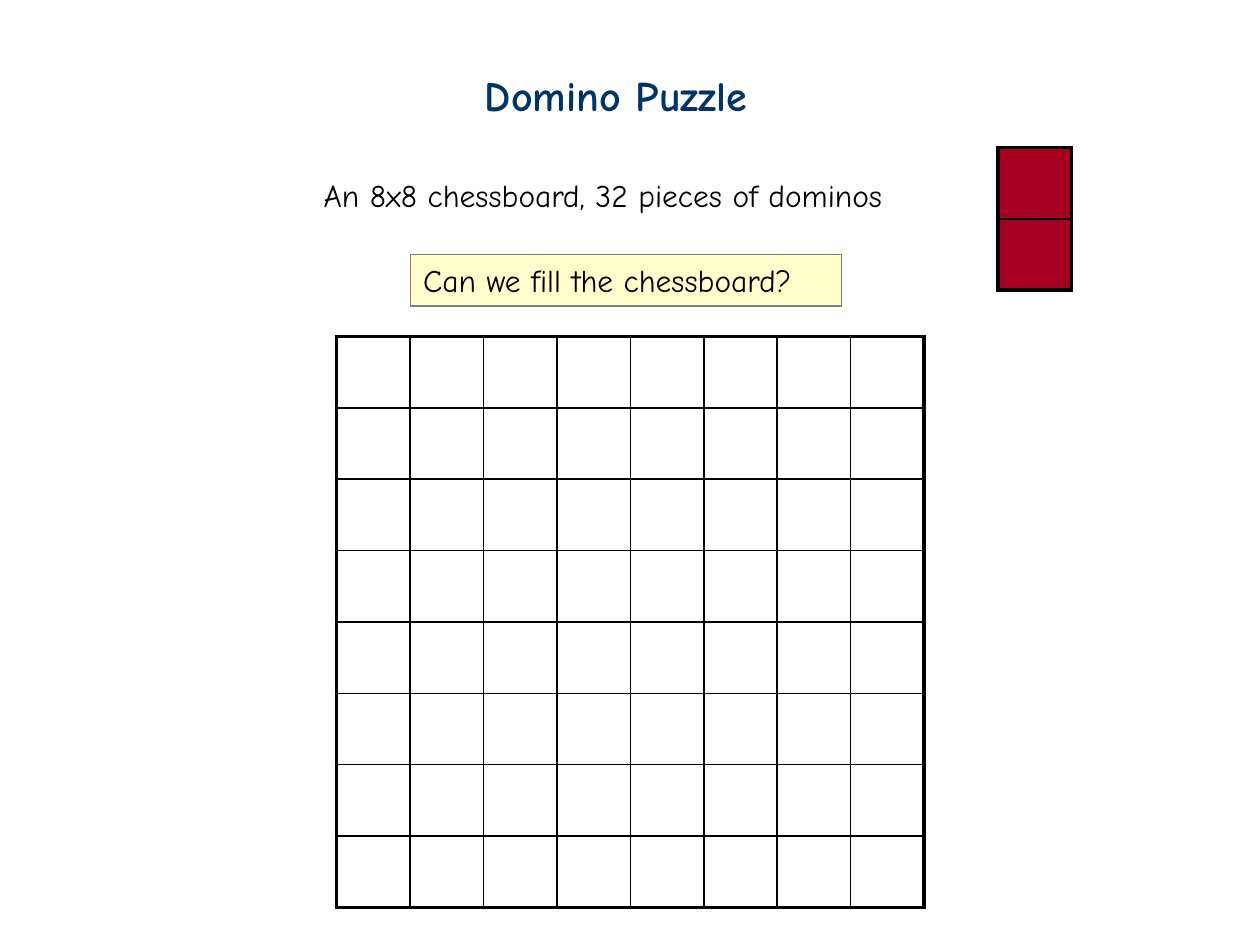
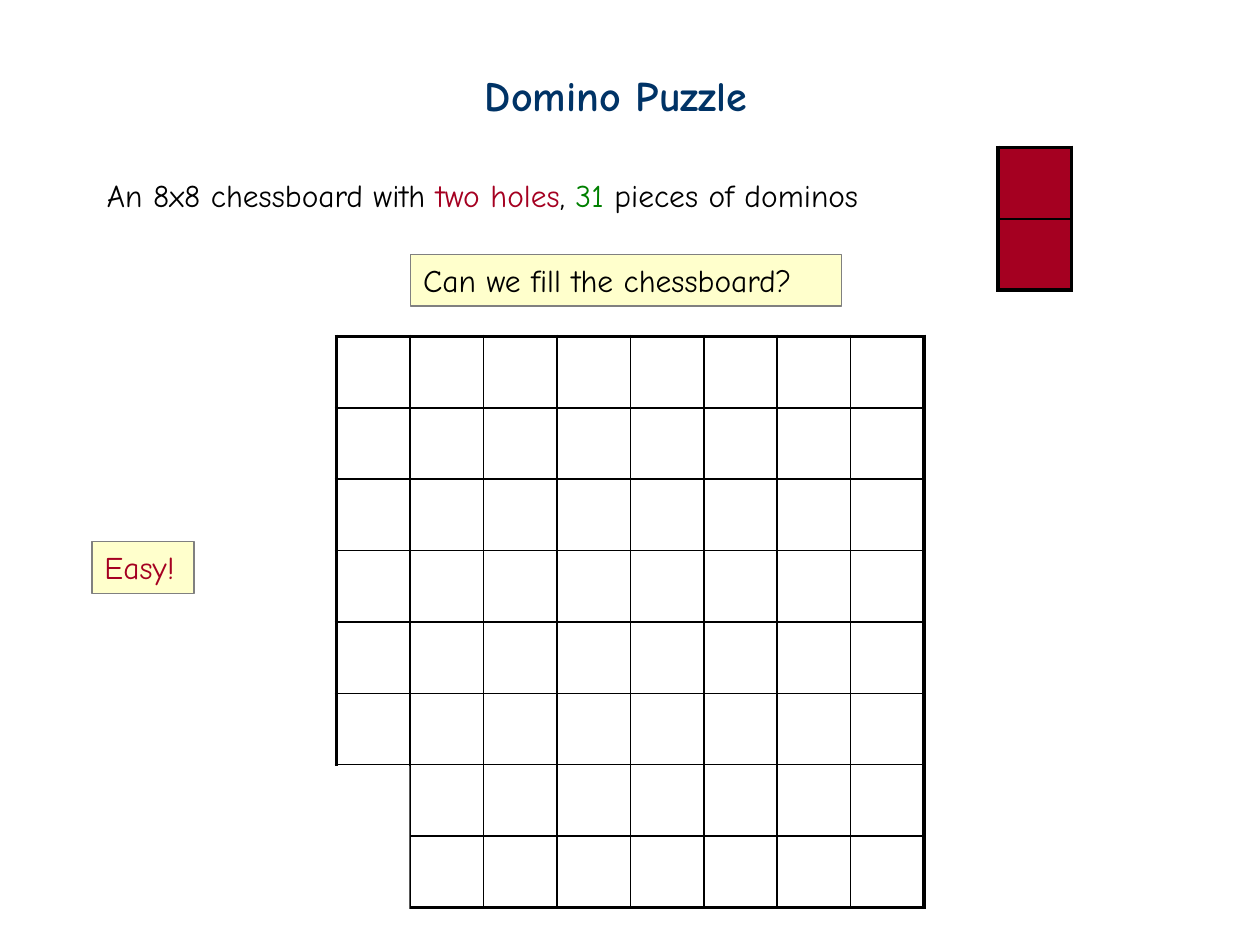
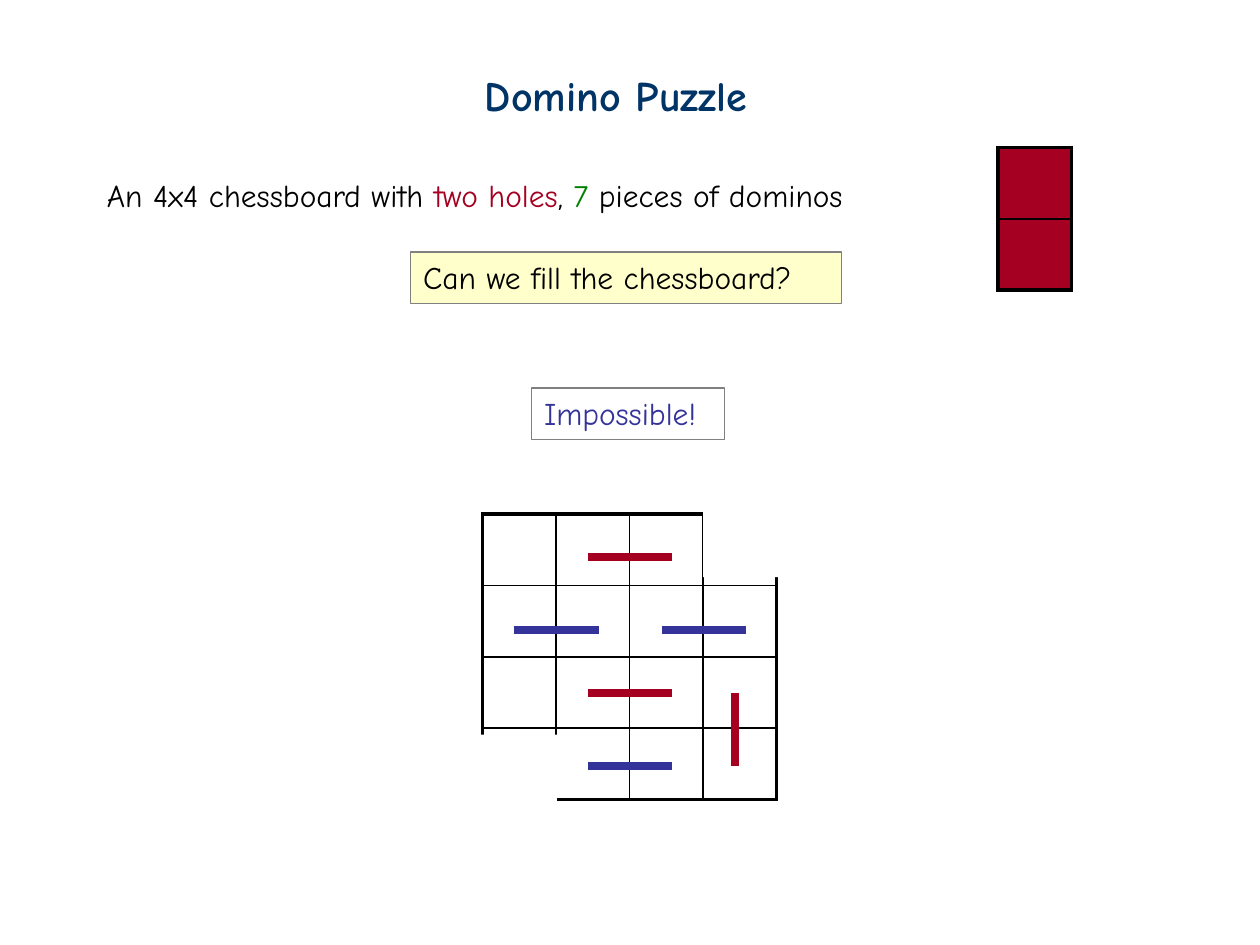
from lxml import etree
from pptx import Presentation
from pptx.dml.color import RGBColor
from pptx.enum.shapes import MSO_CONNECTOR as Connector, MSO_SHAPE as Shape
from pptx.enum.text import MSO_ANCHOR as Anchor, PP_ALIGN as Align
from pptx.oxml.ns import qn
from pptx.util import Inches, Pt

BLACK = RGBColor(0x00, 0x00, 0x00)
WHITE = RGBColor(0xFF, 0xFF, 0xFF)
NAVY = RGBColor(0x00, 0x33, 0x66)
RED = RGBColor(0xA5, 0x00, 0x21)
GREEN = RGBColor(0x00, 0x80, 0x00)
BLUE = RGBColor(0x33, 0x33, 0x99)
CREAM = RGBColor(0xFF, 0xFF, 0xCC)
GRAY = RGBColor(0x80, 0x80, 0x80)

FONT = "Comic Neue"
SQUARE_WIDTH, SQUARE_HEIGHT = 7 / 12, 17 / 30
THICK, THIN = 2.25, 1
TITLE = "Domino Puzzle"
QUESTION = "Can we fill the chessboard?"

# Boxes are (left, top, width, height); strokes are (x1, y1, x2, y2, color)
SLIDES = [
    {
        "statement": [("An 8x8 chessboard, 32 pieces of dominos", BLACK)],
        "statement_box": (2.47, 1.35, 5.03, 0.4),
        "question_top": 2.02,
        "board": (2.67, 2.67, 8),
    },
    {
        "statement": [("An 8x8 chessboard with ", BLACK), ("two holes", RED), (", ", BLACK),
                      ("31", GREEN), (" pieces of dominos", BLACK)],
        "statement_box": (0.75, 1.35, 6.74, 0.4),
        "question_top": 2.02,
        "board": (2.67, 2.67, 8),
        "holes": [(2.58, 6.08, 0.67, 1.17)],
        "answer": ("Easy!", RED, CREAM, (0.73, 4.3, 0.81, 0.41)),
    },
    {
        "statement": [("An 4x4 chessboard with ", BLACK), ("two holes", RED), (", ", BLACK),
                      ("7", GREEN), (" pieces of dominos", BLACK)],
        "statement_box": (0.75, 1.35, 6.63, 0.4),
        "question_top": 2,
        "board": (3.83, 4.08, 4),
        "holes": [(3.75, 5.83, 0.67, 0.58), (5.58, 4, 0.67, 0.58)],
        "answer": ("Impossible!", BLUE, WHITE, (4.22, 3.08, 1.53, 0.41)),
        "strokes": [
            (4.67, 6.08, 5.33, 6.08, BLUE),
            (5.83, 5.5, 5.83, 6.08, RED),
            (5.25, 5, 5.92, 5, BLUE),
            (4.67, 5.5, 5.33, 5.5, RED),
            (4.67, 4.42, 5.33, 4.42, RED),
            (4.08, 5, 4.75, 5, BLUE),
        ],
    },
]


def add_rectangle(slide, box, fill, line=None):
    shape = slide.shapes.add_shape(Shape.RECTANGLE, *map(Inches, box))
    shape.shadow.inherit = False
    shape.fill.solid()
    shape.fill.fore_color.rgb = fill
    if line is None:
        shape.line.fill.background()
    else:
        shape.line.color.rgb = line
        shape.line.width = Pt(0.75)
    return shape


def add_text(slide, text, box, size=18, color=BLACK, bold=False, fill=None):
    """Write a string, or a list of (string, color) runs, framed if filled."""
    if fill is None:
        shape = slide.shapes.add_textbox(*map(Inches, box))
    else:
        shape = add_rectangle(slide, box, fill, GRAY)
    frame = shape.text_frame
    frame.word_wrap = True
    frame.vertical_anchor = Anchor.TOP
    paragraph = frame.paragraphs[0]
    paragraph.alignment = Align.LEFT
    for words, run_color in [(text, color)] if isinstance(text, str) else text:
        run = paragraph.add_run()
        run.text = words
        run.font.name = FONT
        run.font.size = Pt(size)
        run.font.bold = bold
        run.font.color.rgb = run_color


def set_borders(cell, widths):
    """Set the left, right, top and bottom borders, in that order."""
    properties = cell._tc.get_or_add_tcPr()
    for index, (side, width) in enumerate(zip("LRTB", widths)):
        line = etree.Element(qn(f"a:ln{side}"), w=str(Pt(width)))
        fill = etree.SubElement(line, qn("a:solidFill"))
        etree.SubElement(fill, qn("a:srgbClr"), val=str(BLACK))
        properties.insert(index, line)


def add_grid(slide, left, top, columns, rows, fill=None):
    """Add a table of squares with a thick outer border."""
    table = slide.shapes.add_table(
        rows, columns, Inches(left), Inches(top),
        Inches(columns * SQUARE_WIDTH), Inches(rows * SQUARE_HEIGHT)).table
    table.first_row = table.horz_banding = False
    for column in table.columns:
        column.width = Inches(SQUARE_WIDTH)
    for row_index, row in enumerate(table.rows):
        row.height = Inches(SQUARE_HEIGHT)
        for column_index, cell in enumerate(row.cells):
            if fill is None:
                cell.fill.background()
            else:
                cell.fill.solid()
                cell.fill.fore_color.rgb = fill
            outer = (column_index == 0, column_index == columns - 1,
                     row_index == 0, row_index == rows - 1)
            set_borders(cell, [THICK if edge else THIN for edge in outer])


def add_stroke(slide, x1, y1, x2, y2, color):
    connector = slide.shapes.add_connector(
        Connector.STRAIGHT, *map(Inches, (x1, y1, x2, y2)))
    connector.line.color.rgb = color
    connector.line.width = Pt(4.5)
    etree.SubElement(connector._element.spPr, qn("a:effectLst"))


def build_slide(presentation, content):
    slide = presentation.slides.add_slide(presentation.slide_layouts[6])
    # Title, board, statement, sample domino and question
    add_text(slide, TITLE, (3.75, 0.5, 2.45, 0.5), size=24, color=NAVY, bold=True)
    left, top, count = content["board"]
    add_grid(slide, left, top, count, count)
    add_text(slide, content["statement"], content["statement_box"])
    add_grid(slide, 7.92, 1.17, 1, 2, fill=RED)
    add_text(slide, QUESTION, (3.26, content["question_top"], 3.42, 0.41), fill=CREAM)
    # Holes, answer and placed dominos
    for hole in content.get("holes", []):
        add_rectangle(slide, hole, WHITE)
    if "answer" in content:
        text, color, fill, box = content["answer"]
        add_text(slide, text, box, color=color, fill=fill)
    for stroke in content.get("strokes", []):
        add_stroke(slide, *stroke)


def main():
    presentation = Presentation()
    presentation.slide_width = Inches(10)
    presentation.slide_height = Inches(7.5)
    for content in SLIDES:
        build_slide(presentation, content)
    presentation.save("out.pptx")


if __name__ == "__main__":
    main()
